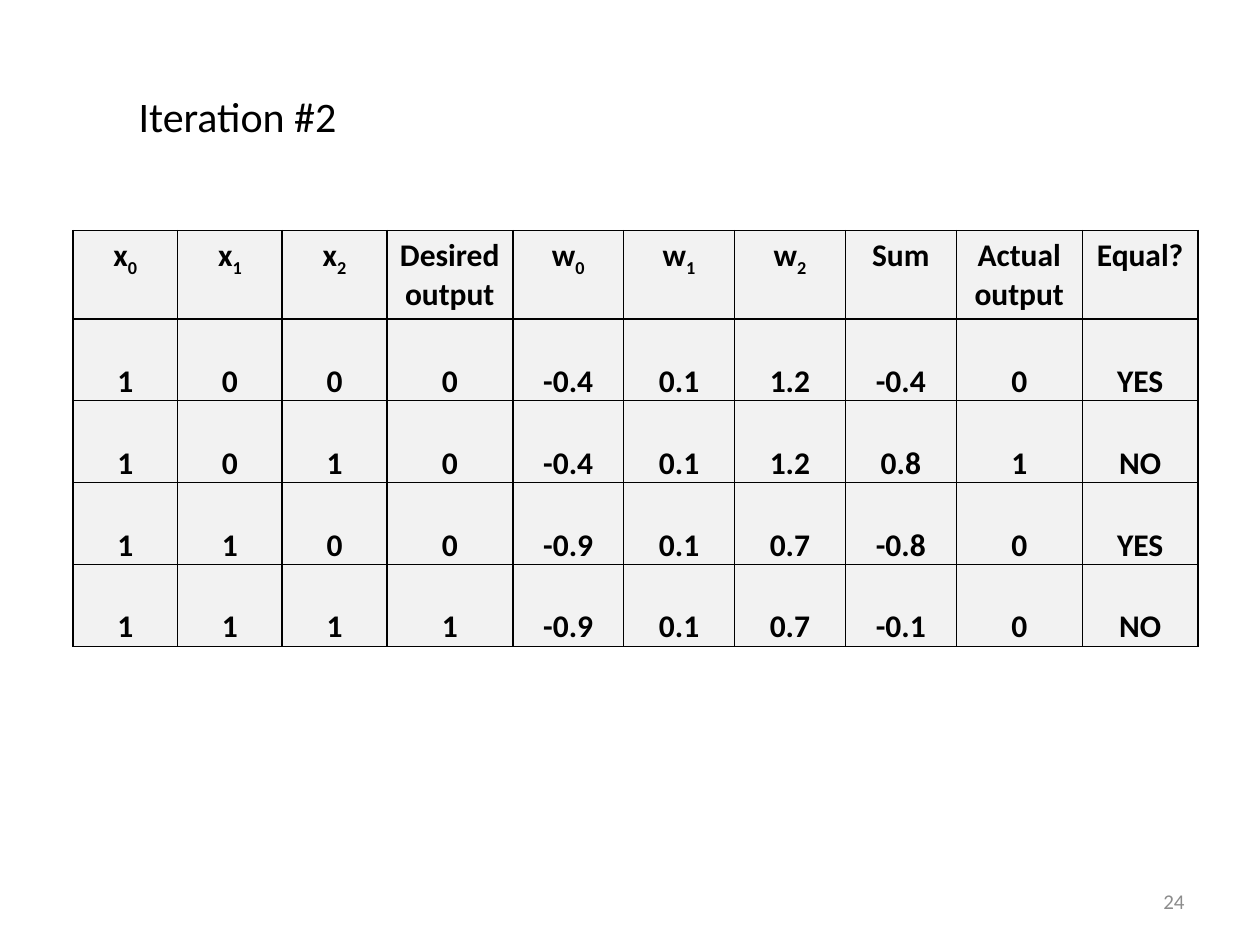
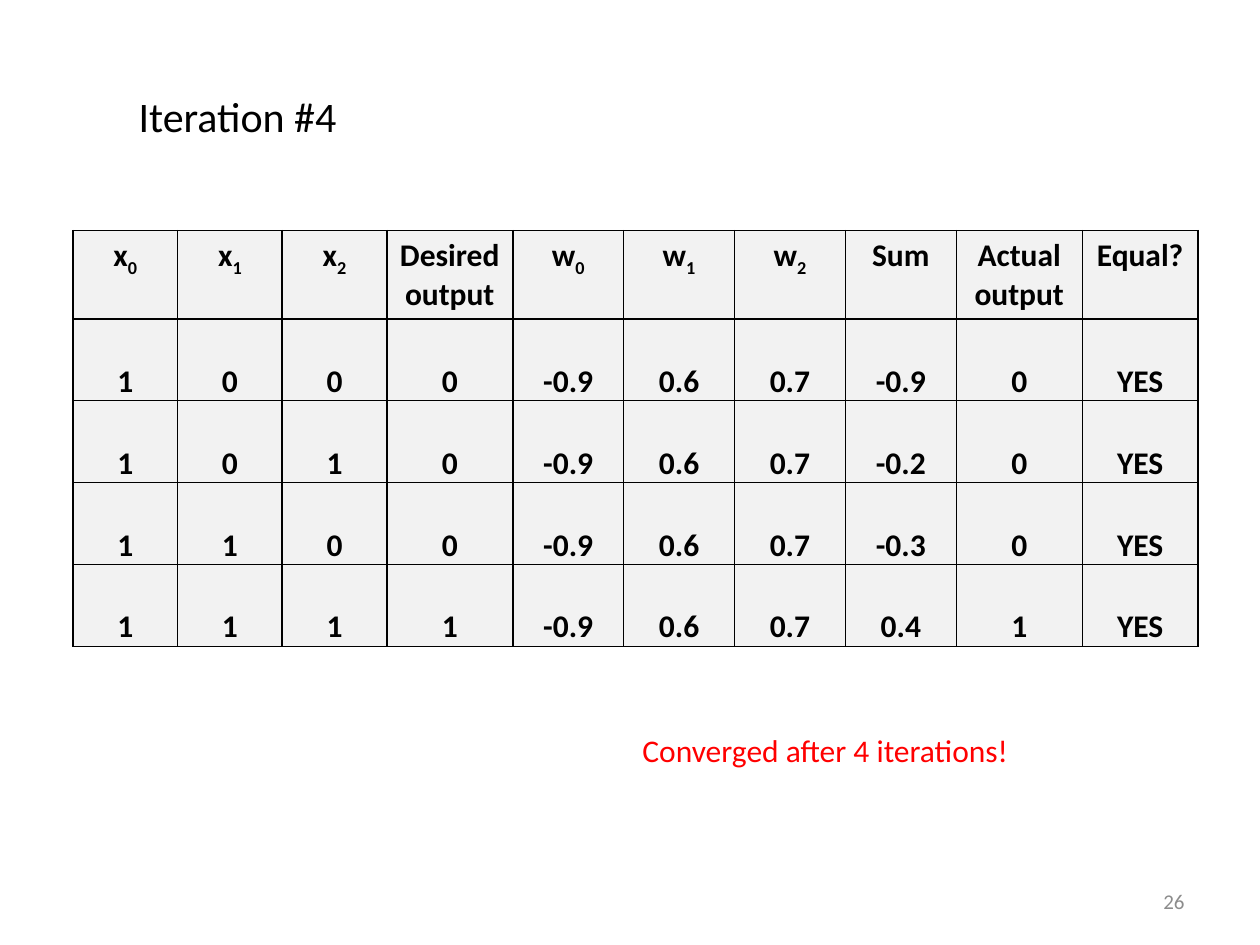
from lxml import etree
from pptx import Presentation
from pptx.dml.color import RGBColor
from pptx.enum import text
from pptx.oxml.ns import qn
from pptx.util import Inches, Pt

BLACK = RGBColor(0x00, 0x00, 0x00)
GREY = RGBColor(0x8C, 0x8C, 0x8C)
RED = RGBColor(0xFF, 0x00, 0x00)
CELL_FILL = RGBColor(0xF2, 0xF2, 0xF2)
FONT = "Calibri"
TITLE_ONLY = 5

COL_WIDTHS = [0.83] * 3 + [1] + [0.88] * 4 + [1, 0.92]
ROW_HEIGHTS = [0.7] + [0.65] * 4
HEADERS = ["x_0", "x_1", "x_2", "Desired output", "w_0", "w_1", "w_2",
           "Sum", "Actual output", "Equal?"]
# x0, x1, x2 and desired output, the same on both slides
SAMPLES = ["1 0 0 0", "1 0 1 0", "1 1 0 0", "1 1 1 1"]
# w0, w1, w2, sum, actual output, equal?
ITERATION_2 = ["-0.4 0.1 1.2 -0.4 0 YES", "-0.4 0.1 1.2 0.8 1 NO",
               "-0.9 0.1 0.7 -0.8 0 YES", "-0.9 0.1 0.7 -0.1 0 NO"]
ITERATION_4 = ["-0.9 0.6 0.7 -0.9 0 YES", "-0.9 0.6 0.7 -0.2 0 YES",
               "-0.9 0.6 0.7 -0.3 0 YES", "-0.9 0.6 0.7 0.4 1 YES"]


def write(tf, content, size=18, color=BLACK, bold=False,
          align=text.PP_ALIGN.LEFT):
    """Write one paragraph; what follows an underscore is a subscript."""
    p = tf.paragraphs[0]
    p.alignment = align
    for i, part in enumerate(content.split("_")):
        r = p.add_run()
        r.text = part
        r.font.name = FONT
        r.font.size = Pt(size)
        r.font.bold = bold
        r.font.color.rgb = color
        if i:
            r.font._element.set("baseline", "-25000")


def add_borders(cell, color=BLACK, width=1):
    tc_pr = cell._tc.get_or_add_tcPr()
    for side in "LRTB":
        ln = etree.SubElement(tc_pr, qn(f"a:ln{side}"), w=str(Pt(width)))
        fill = etree.SubElement(ln, qn("a:solidFill"))
        etree.SubElement(fill, qn("a:srgbClr"), val=str(color))


class Deck:
    def __init__(self):
        self.prs = Presentation()
        self.prs.slide_width = Inches(10)
        self.prs.slide_height = Inches(7.5)
        self.s = None

    def start_slide(self, title, number):
        self.s = self.prs.slides.add_slide(self.prs.slide_layouts[TITLE_ONLY])
        self.title(title)
        self.textbox(str(number), 7.17, 6.95, 2.33, 0.4, size=12, color=GREY,
                     align=text.PP_ALIGN.RIGHT, anchor=text.MSO_ANCHOR.MIDDLE)

    def title(self, content):
        sp = self.s.shapes.title
        sp.left, sp.top = Inches(1), Inches(0.67)
        sp.width, sp.height = Inches(1.86), Inches(0.5)
        tf = sp.text_frame
        tf.word_wrap = False
        tf.auto_size = text.MSO_AUTO_SIZE.SHAPE_TO_FIT_TEXT
        tf.vertical_anchor = text.MSO_ANCHOR.TOP
        write(tf, content, size=24)

    def textbox(self, content, left, top, width, height,
                anchor=text.MSO_ANCHOR.TOP, **fmt):
        sp = self.s.shapes.add_textbox(Inches(left), Inches(top),
                                       Inches(width), Inches(height))
        tf = sp.text_frame
        tf.word_wrap = True
        tf.vertical_anchor = anchor
        write(tf, content, **fmt)

    def table(self, results):
        rows = [HEADERS] + [f"{sample} {result}".split()
                            for sample, result in zip(SAMPLES, results)]
        table = self.s.shapes.add_table(
            len(rows), len(HEADERS), Inches(0.58), Inches(1.83),
            Inches(sum(COL_WIDTHS)), Inches(sum(ROW_HEIGHTS))).table
        for col, width in zip(table.columns, COL_WIDTHS):
            col.width = Inches(width)
        for row, height in zip(table.rows, ROW_HEIGHTS):
            row.height = Inches(height)
        for i, values in enumerate(rows):
            for j, value in enumerate(values):
                self.cell(table.cell(i, j), value, is_header=i == 0)

    def cell(self, cell, value, is_header):
        add_borders(cell)
        cell.fill.solid()
        cell.fill.fore_color.rgb = CELL_FILL
        if not is_header:
            cell.vertical_anchor = text.MSO_ANCHOR.BOTTOM
            cell.margin_left = cell.margin_right = Inches(0.01)
            cell.margin_top, cell.margin_bottom = Inches(0.01), 0
        write(cell.text_frame, value, bold=True, align=text.PP_ALIGN.CENTER)


def main():
    deck = Deck()
    deck.start_slide("Iteration #2", 24)
    deck.table(ITERATION_2)

    deck.start_slide("Iteration #4", 26)
    deck.table(ITERATION_4)
    deck.textbox("Converged after 4 iterations!", 5, 5.75, 3.75, 0.4,
                 color=RED)
    deck.prs.save("out.pptx")


if __name__ == "__main__":
    main()
